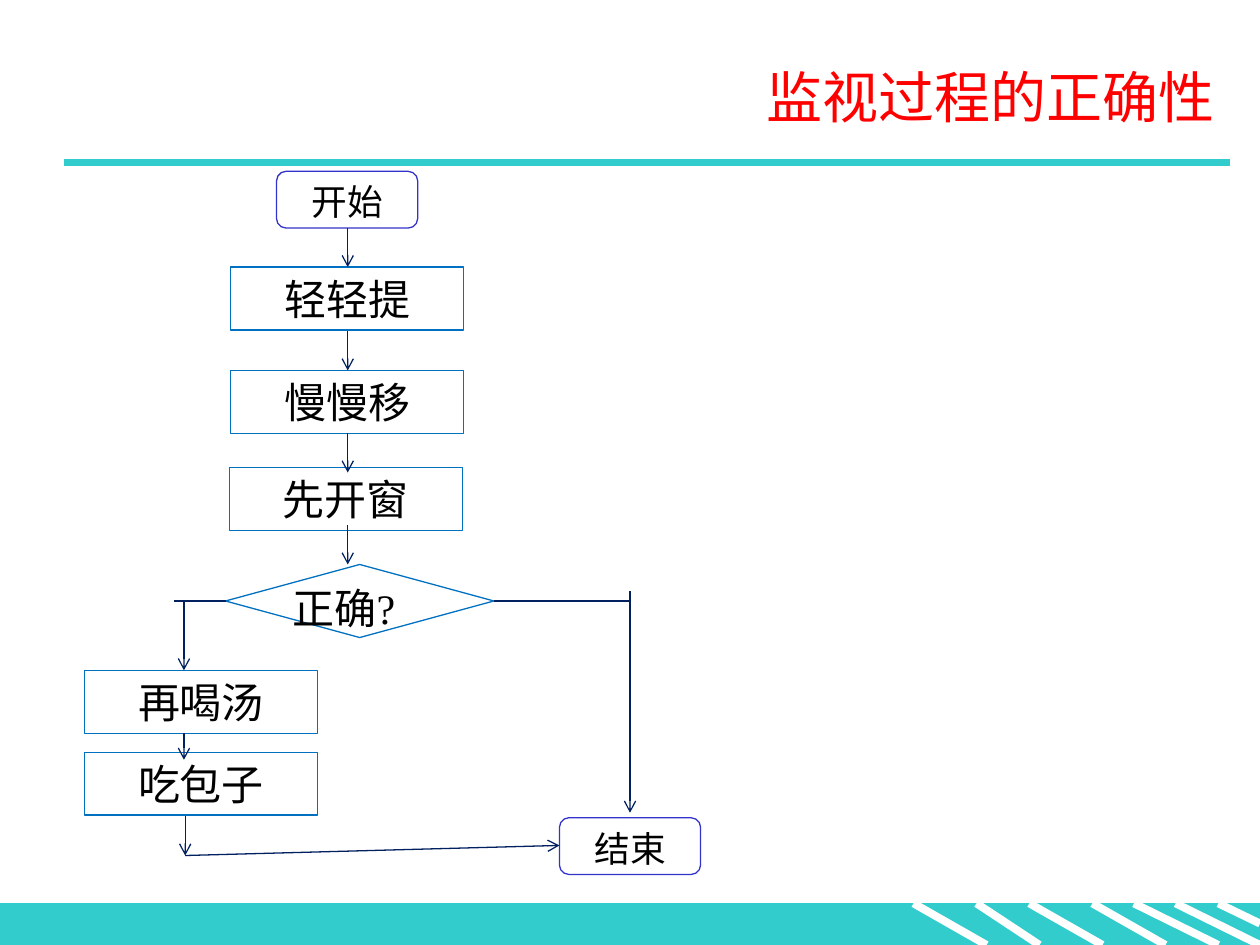
from lxml import etree
from pptx import Presentation
from pptx.dml.color import RGBColor
from pptx.enum.shapes import MSO_CONNECTOR, MSO_SHAPE
from pptx.enum.text import MSO_ANCHOR, PP_ALIGN
from pptx.oxml.ns import qn
from pptx.util import Inches, Pt

RECT, ROUND, DIAMOND = MSO_SHAPE.RECTANGLE, MSO_SHAPE.ROUNDED_RECTANGLE, MSO_SHAPE.DIAMOND
STRAIGHT = MSO_CONNECTOR.STRAIGHT
TOP, MIDDLE = MSO_ANCHOR.TOP, MSO_ANCHOR.MIDDLE
LEFT, CENTER, RIGHT = PP_ALIGN.LEFT, PP_ALIGN.CENTER, PP_ALIGN.RIGHT

COLORS = {"band": "33CCCC", "stripe": "FFFFFF", "title": "FF0000", "text": "000000",
          "terminal": "3333CC", "step": "0070C0", "arrow": "002060"}
FONT = "Times New Roman"
WIDTH, HEIGHT = 10, 7.5
BAND_TOP = 7.17
TITLE = "监视过程的正确性"

STRIPES = [(7.25, 7.83, HEIGHT), (7.75, 8.25, HEIGHT), (8.17, 8.75, HEIGHT), (8.67, 9.25, HEIGHT),
           (9, 9.67, HEIGHT), (9.33, WIDTH, HEIGHT), (9.67, WIDTH, 7.33)]

KINDS = {
    "terminal": {"shape": ROUND, "size": (1.12, 0.45), "points": 20.4, "align": CENTER,
                 "insets": (0.1, 0.05, 0.1, 0.05)},
    "step": {"shape": RECT, "size": (1.85, 0.5), "points": 24, "align": CENTER,
             "insets": (0.1, 0.05, 0.1, 0.05)},
    "decision": {"shape": DIAMOND, "size": (2.13, 0.58), "points": 24, "align": LEFT,
                 "insets": (0, 0, 0.1, 0.05)},
}
MAIN, BRANCH, END = 2.755, 1.595, 5
NODES = [
    ("开始", "terminal", MAIN, 1.36),
    ("轻轻提", "step", MAIN, 2.12),
    ("慢慢移", "step", MAIN, 2.94),
    ("先开窗", "step", MAIN - 0.01, 3.71),
    ("正确?", "decision", MAIN + 0.1, 4.48),
    ("再喝汤", "step", BRANCH, 5.32),
    ("吃包子", "step", BRANCH, 5.97),
    ("结束", "terminal", END, 6.49),
]
DROP = 0.31
ARROWS = [(2.76, top, 2.76, top + DROP) for top in (1.81, 2.63, 3.44, 4.17)] + [
    (1.46, 4.77, 1.46, 5.32), (1.46, 5.82, 1.46, 6.03), (1.47, 6.48, 1.47, 6.79),
    (1.47, 6.79, 4.44, 6.71), (END, 4.69, END, 6.45)]
BRANCH_LINES = [(1.38, 4.77, 1.79, 4.77), (3.92, 4.77, END, 4.77)]


def color(name):
    return RGBColor.from_string(COLORS[name])


def set_line(line, name, points):
    line.color.rgb = color(name)
    line.width = Pt(points)


def write(shape, text, points, name, align, anchor, insets):
    frame = shape.text_frame
    margins = dict(zip(("margin_left", "margin_top", "margin_right", "margin_bottom"),
                       map(Inches, insets)))
    for key, value in {**margins, "word_wrap": True, "vertical_anchor": anchor}.items():
        setattr(frame, key, value)
    para = frame.paragraphs[0]
    para.alignment = align
    span = para.add_run()
    span.text = text
    for key, value in {"size": Pt(points), "name": FONT, "bold": False}.items():
        setattr(span.font, key, value)
    span.font.color.rgb = color(name)


def add_box(page, kind, left, top, width, height, line, fill=None):
    box = page.shapes.add_shape(kind, *map(Inches, (left, top, width, height)))
    box.shadow.inherit = False
    if fill:
        box.fill.solid()
        box.fill.fore_color.rgb = color(fill)
    else:
        box.fill.background()
    set_line(box.line, line, 0.75)
    return box


def add_line(page, ends, name, points, arrow=False):
    connector = page.shapes.add_connector(STRAIGHT, *map(Inches, ends))
    set_line(connector.line, name, points)
    properties = connector._element.spPr
    if arrow:
        etree.SubElement(properties.find(qn("a:ln")), qn("a:tailEnd"), type="arrow")
    etree.SubElement(properties, qn("a:effectLst"))


def add_node(page, text, kind, center, top):
    style = KINDS[kind]
    width, height = style["size"]
    line = "terminal" if kind == "terminal" else "step"
    box = add_box(page, style["shape"], center - width / 2, top, width, height, line)
    write(box, text, style["points"], "text", style["align"], TOP, style["insets"])


def main():
    deck = Presentation()
    deck.slide_width, deck.slide_height = Inches(WIDTH), Inches(HEIGHT)
    page = deck.slides.add_slide(deck.slide_layouts[5])

    add_box(page, RECT, 0, BAND_TOP, WIDTH, HEIGHT - BAND_TOP, "band", "band")
    for start, end, bottom in STRIPES:
        add_line(page, (start, BAND_TOP, end, bottom), "stripe", 4.5)
    add_line(page, (0.51, 1.29, 9.76, 1.29), "band", 4.5)

    title = page.shapes.title
    for key, value in {"left": 2.66, "top": 0.44, "width": 7.18, "height": 0.64}.items():
        setattr(title, key, Inches(value))
    write(title, TITLE, 32, "title", RIGHT, MIDDLE, (0.1, 0.05, 0.2, 0.05))

    for node in NODES:
        add_node(page, *node)
    for ends in ARROWS:
        add_line(page, ends, "arrow", 0.75, arrow=True)
    for ends in BRANCH_LINES:
        add_line(page, ends, "arrow", 0.75)

    deck.save("out.pptx")


if __name__ == "__main__":
    main()
